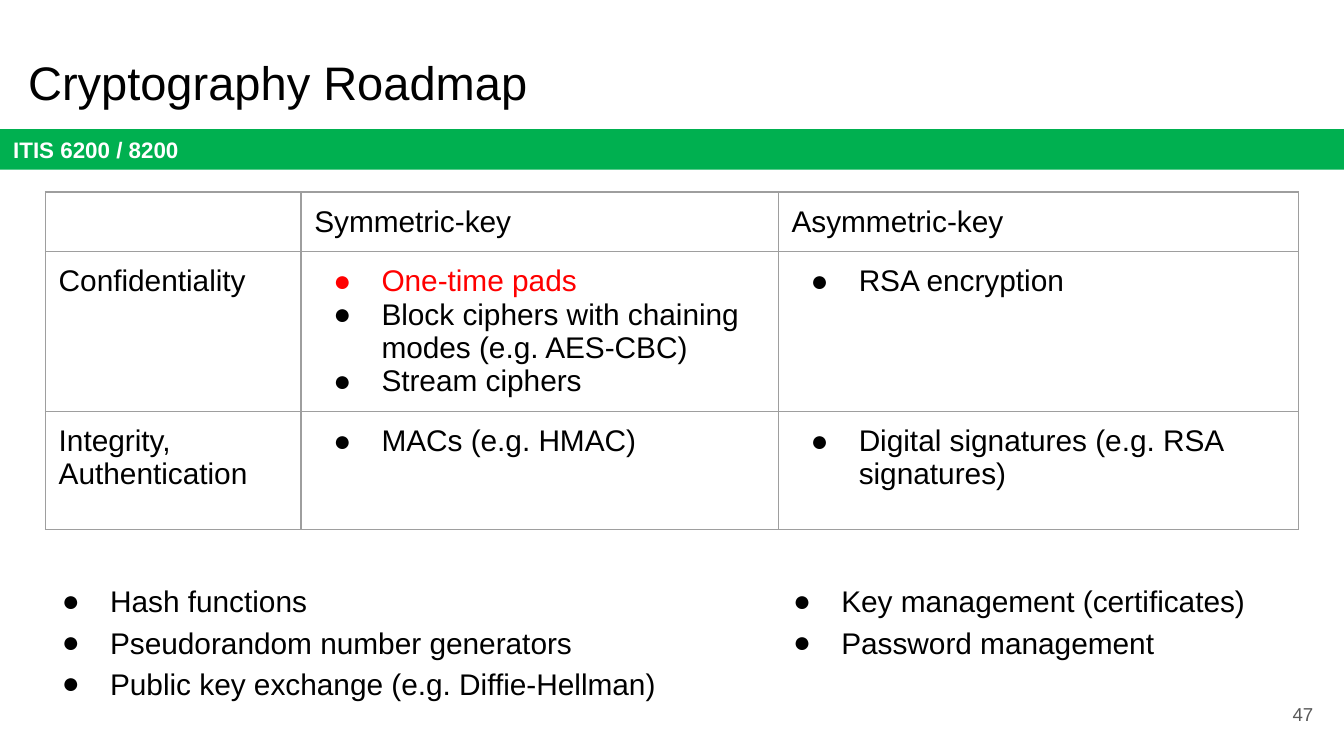
from lxml import etree
from pptx import Presentation
from pptx.dml.color import RGBColor
from pptx.enum.shapes import MSO_SHAPE
from pptx.enum.text import MSO_ANCHOR, MSO_AUTO_SIZE, PP_ALIGN
from pptx.oxml.ns import qn
from pptx.util import Cm, Pt

RECTANGLE = MSO_SHAPE.RECTANGLE
TOP, MIDDLE = MSO_ANCHOR.TOP, MSO_ANCHOR.MIDDLE
NO_FIT = MSO_AUTO_SIZE.NONE
LEFT, RIGHT = PP_ALIGN.LEFT, PP_ALIGN.RIGHT

BLACK = RGBColor(0x00, 0x00, 0x00)
WHITE = RGBColor(0xFF, 0xFF, 0xFF)
RED = RGBColor(0xFF, 0x00, 0x00)
GREEN = RGBColor(0x00, 0xB0, 0x50)
GRAY = RGBColor(0x59, 0x59, 0x59)
BORDER = RGBColor(0x9E, 0x9E, 0x9E)

INSET = Cm(0.25)
BULLET_INDENT = Cm(1.27)
BULLET_HANGING = Cm(0.91)

COLUMN_WIDTHS = [4.83, 9.02, 9.83]
ROW_HEIGHTS = [1.13, 3.02, 2.23]
ROADMAP = [
    ["", "Symmetric-key", "Asymmetric-key"],
    [
        "Confidentiality",
        ["One-time pads", "Block ciphers with chaining modes (e.g. AES-CBC)", "Stream ciphers"],
        ["RSA encryption"],
    ],
    ["Integrity,\vAuthentication", ["MACs (e.g. HMAC)"], ["Digital signatures (e.g. RSA signatures)"]],
]
CURRENT_TOPIC = "One-time pads"
PRIMITIVES = ["Hash functions", "Pseudorandom number generators", "Public key exchange (e.g. Diffie-Hellman)"]
MANAGEMENT = ["Key management (certificates)", "Password management"]


def add_bullet(paragraph, color):
    properties = paragraph._p.get_or_add_pPr()
    properties.set("marL", str(BULLET_INDENT))
    properties.set("indent", str(-BULLET_HANGING))
    bullet_color = etree.SubElement(properties, qn("a:buClr"))
    etree.SubElement(bullet_color, qn("a:srgbClr"), val=str(color))
    etree.SubElement(properties, qn("a:buFont"), typeface="Arial")
    etree.SubElement(properties, qn("a:buChar"), char="●")


def write_text(frame, text, size=16, color=BLACK, bold=False, align=LEFT, spacing=1.0, highlight=None):
    bulleted = isinstance(text, list)
    for index, line in enumerate(text if bulleted else [text]):
        paragraph = frame.paragraphs[0] if index == 0 else frame.add_paragraph()
        paragraph.text = line
        paragraph.alignment = align
        paragraph.line_spacing = spacing
        paragraph.space_before = Pt(0)
        line_color = RED if line == highlight else color
        if bulleted:
            add_bullet(paragraph, line_color)
        font = paragraph.font
        font.name, font.size, font.bold = "Arial", Pt(size), bold
        font.color.rgb = line_color


class RoadmapSlide:
    def __init__(self, presentation):
        self.slide = presentation.slides.add_slide(presentation.slide_layouts[1])

    def fill_box(self, shape, text, box, anchor=TOP, **style):
        shape.left, shape.top, shape.width, shape.height = map(Cm, box)
        frame = shape.text_frame
        frame.word_wrap = True
        frame.auto_size = NO_FIT
        frame.vertical_anchor = anchor
        frame.margin_left = frame.margin_right = INSET
        frame.margin_top = frame.margin_bottom = INSET
        write_text(frame, text, **style)

    def band(self, text, box, **style):
        shape = self.slide.shapes.add_shape(RECTANGLE, *map(Cm, box))
        shape.shadow.inherit = False
        shape.fill.solid()
        shape.fill.fore_color.rgb = GREEN
        shape.line.fill.background()
        self.fill_box(shape, text, box, MIDDLE, **style)

    def placeholder(self, index, text, box, **style):
        self.fill_box(self.slide.placeholders[index], text, box, **style)

    def text_box(self, text, box, anchor=TOP, **style):
        shape = self.slide.shapes.add_textbox(*map(Cm, box))
        self.fill_box(shape, text, box, anchor, **style)

    def cell_borders(self, cell):
        properties = cell._tc.get_or_add_tcPr()
        for position, side in enumerate(("a:lnL", "a:lnR", "a:lnT", "a:lnB")):
            line = etree.Element(qn(side), w=str(Pt(0.75)))
            fill = etree.SubElement(line, qn("a:solidFill"))
            etree.SubElement(fill, qn("a:srgbClr"), val=str(BORDER))
            properties.insert(position, line)

    def table(self, rows, left, top, widths, heights, **style):
        frame = self.slide.shapes.add_table(
            len(rows), len(widths), Cm(left), Cm(top), Cm(sum(widths)), Cm(sum(heights)))
        table = frame.table
        table.first_row = table.horz_banding = False
        for column, width in zip(table.columns, widths):
            column.width = Cm(width)
        for row, height, texts in zip(table.rows, heights, rows):
            row.height = Cm(height)
            for cell, text in zip(row.cells, texts):
                cell.fill.background()
                cell.margin_left = cell.margin_right = INSET
                cell.margin_top = cell.margin_bottom = INSET
                write_text(cell.text_frame, text, **style)
                self.cell_borders(cell)


def main():
    presentation = Presentation()
    presentation.slide_width, presentation.slide_height = Cm(25.4), Cm(14.29)
    roadmap = RoadmapSlide(presentation)
    roadmap.band("ITIS 6200 / 8200", (0, 2.44, 25.4, 0.77), size=12, color=WHITE, bold=True)
    roadmap.placeholder(0, "Cryptography Roadmap", (0.28, 0.76, 23.67, 1.6), size=25.2)
    roadmap.table(ROADMAP, 0.86, 3.63, COLUMN_WIDTHS, ROW_HEIGHTS, highlight=CURRENT_TOPIC)
    roadmap.placeholder(1, PRIMITIVES, (0.56, 10.67, 12.14, 3.25), spacing=1.15)
    roadmap.text_box(MANAGEMENT, (14.38, 10.67, 9.58, 1.98), spacing=1.15)
    roadmap.text_box("47", (23.55, 12.95, 1.52, 1.09), MIDDLE, size=10, color=GRAY, align=RIGHT)
    presentation.save("out.pptx")


if __name__ == "__main__":
    main()
